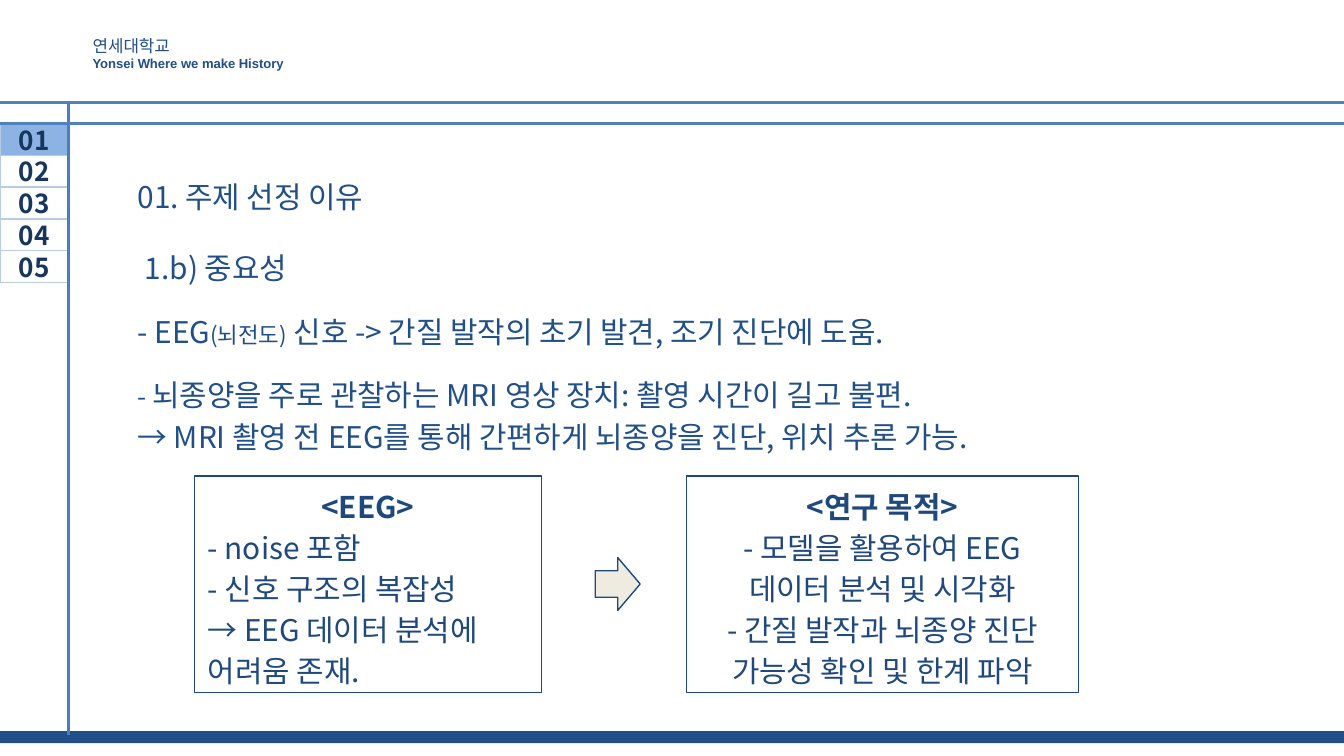
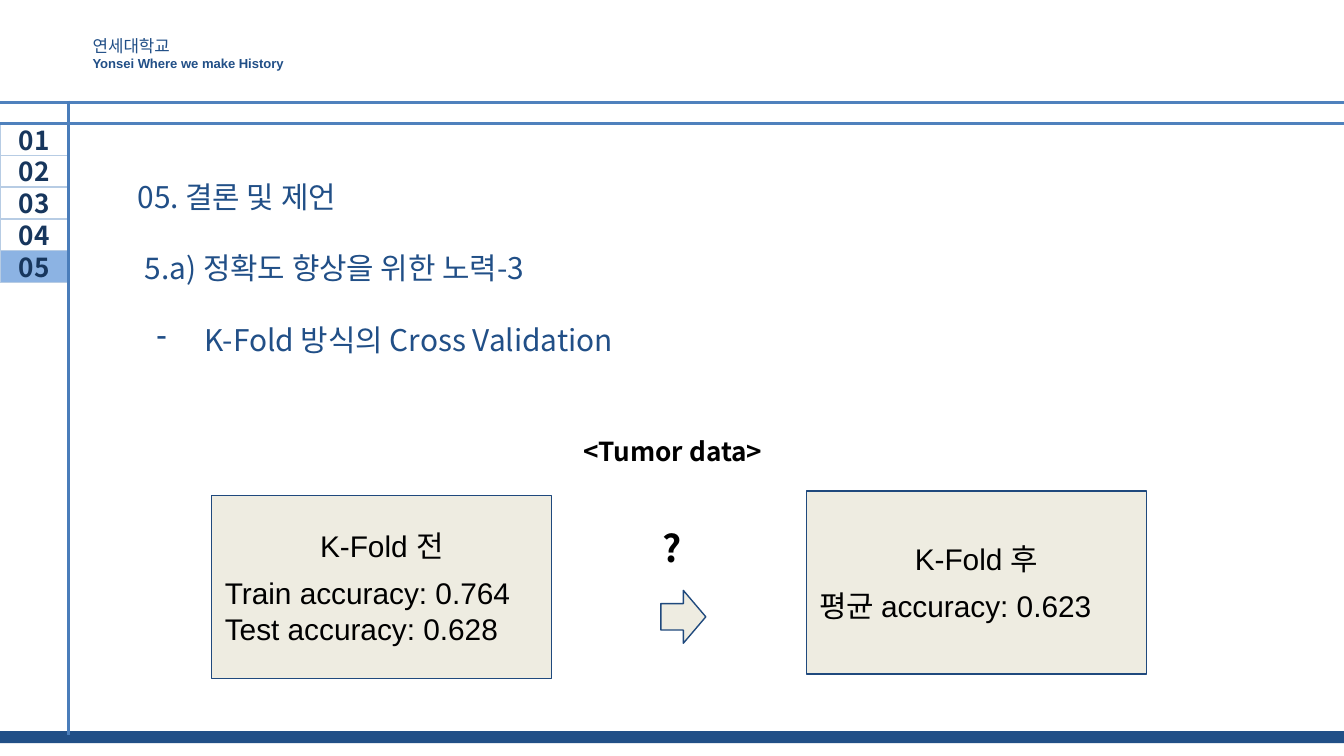
"""Build two slides of a study on EEG data with a shared frame."""
import pptx
import pptx.dml.color
import pptx.enum.shapes
import pptx.enum.text
import pptx.oxml.ns
import pptx.util
from lxml import etree

Cm = pptx.util.Cm
Pt = pptx.util.Pt
qn = pptx.oxml.ns.qn
KIND = pptx.enum.shapes.MSO_SHAPE
ALIGN = pptx.enum.text.PP_ALIGN
ANCHOR = pptx.enum.text.MSO_ANCHOR

HUES = {
    "navy": "214F87", "ink": "1F497D", "deep": "17365D", "line": "4F81BD",
    "spine": "4A7DBA", "edge": "B7CCE4", "lit": "8CB3E3", "sand": "EEECE1",
    "black": "000000",
}
NOTO = "Noto Sans CJK KR"
WIDTH, HEIGHT = 25.4, 14.29


def tint(name):
    return pptx.dml.color.RGBColor.from_string(HUES[name])


def say(frame, text, new=True, size=16, face=NOTO, hue="navy", bold=False,
        align=ALIGN.LEFT, lead=None, above=0, below=0, left=0, first=0, mark=None):
    para = frame.paragraphs[-1]
    if new:
        if para.runs:
            para = frame.add_paragraph()
        para.alignment = align
        para.space_before, para.space_after = Pt(above), Pt(below)
        if lead:
            para.line_spacing = lead
        props = para._p.get_or_add_pPr()
        props.set("marL", str(Cm(left)))
        props.set("indent", str(Cm(first)))
        if mark:
            shade = etree.SubElement(props, qn("a:buClr"))
            etree.SubElement(shade, qn("a:srgbClr"), val=HUES[hue])
            etree.SubElement(props, qn("a:buChar"), char=mark)
    for count, line in enumerate(text.split("\n")):
        if count:
            para.add_line_break()
        if not line:
            continue
        run = para.add_run()
        run.text = line
        font = run.font
        font.size, font.bold, font.name = Pt(size), bold, face
        font.color.rgb = tint(hue)
        etree.SubElement(run._r.get_or_add_rPr(), qn("a:ea"), typeface=NOTO)


class Deck:
    """Hold the shared style and the current slide."""

    def __init__(self):
        self.file = pptx.Presentation()
        self.file.slide_width, self.file.slide_height = Cm(WIDTH), Cm(HEIGHT)
        self.slide = None

    def frame(self, item, pad, anchor):
        frame = item.text_frame
        frame.word_wrap = True
        frame.vertical_anchor = anchor
        frame.margin_left = frame.margin_right = Cm(0.25)
        frame.margin_top = frame.margin_bottom = Cm(pad)
        return frame

    def label(self, x, y, w, h, pad=0.13):
        item = self.slide.shapes.add_textbox(Cm(x), Cm(y), Cm(w), Cm(h))
        return self.frame(item, pad, ANCHOR.TOP)

    def shape(self, x, y, w, h, kind=KIND.RECTANGLE, fill=None, edge=None,
              pad=0.13, anchor=ANCHOR.TOP):
        item = self.slide.shapes.add_shape(kind, Cm(x), Cm(y), Cm(w), Cm(h))
        item.shadow.inherit = False
        if fill:
            item.fill.solid()
            item.fill.fore_color.rgb = tint(fill)
        else:
            item.fill.background()
        if edge:
            item.line.color.rgb = tint(edge)
            item.line.width = Pt(0.75)
        else:
            item.line.fill.background()
        return self.frame(item, pad, anchor)

    def rule(self, x, y, to_x, to_y, hue="line"):
        item = self.slide.shapes.add_connector(
            pptx.enum.shapes.MSO_CONNECTOR.STRAIGHT, Cm(x), Cm(y), Cm(to_x), Cm(to_y))
        item.line.color.rgb = tint(hue)
        item.line.width = Pt(1.5)
        etree.SubElement(item._element.spPr, qn("a:effectLst"))

    def arrow(self, x, y):
        self.shape(x, y, 0.85, 1, KIND.RIGHT_ARROW, "sand", "ink")

    def card(self, x, y, title, *lines):
        frame = self.shape(x, y, 6.43, 3.46, fill="sand", edge="ink",
                           pad=0.25, anchor=ANCHOR.MIDDLE)
        say(frame, title, face="Arial", hue="black", align=ALIGN.CENTER)
        for count, line in enumerate(lines):
            say(frame, line, face="Arial", hue="black", above=0 if count else 6)

    def page(self, part, title, topic):
        self.slide = self.file.slides.add_slide(self.file.slide_layouts[6])
        self.shape(0, 13.82, WIDTH, 0.23, fill="navy")
        self.rule(0, 1.94, WIDTH, 1.94)
        head = self.label(1.5, 0.54, 5, 1)
        say(head, "연세대학교", size=9, face="Arial")
        say(head, "Yonsei Where we make History", size=7, face="Arial", bold=True)
        for step in range(5):
            tab = self.shape(0, 2.34 + 0.6 * step, 1.3, 0.6, edge="edge",
                             fill="lit" if step + 1 == part else None,
                             anchor=ANCHOR.MIDDLE)
            say(tab, f"{step + 1:02}", size=14, hue="deep", bold=True,
                align=ALIGN.CENTER)
        self.rule(1.3, 1.9, 1.3, 13.89, "spine")
        self.rule(0, 2.34, WIDTH, 2.34)
        body = self.label(2.35, 3.25, 22.4, 5.4)
        say(body, f"{part:02}. {title}")
        say(body, topic, above=19, left=0.14)
        return body


def motive(deck):
    body = deck.page(1, "주제 선정 이유", "1.b) 중요성")
    say(body, "- EEG", lead=1.15, above=12)
    say(body, "(뇌전도)", new=False, size=12)
    say(body, " 신호 -> 간질 발작의 초기 발견, 조기 진단에 도움.", new=False)
    say(body, "- ", size=14, lead=1.15, above=12, below=12)
    say(body, "뇌종양을 주로 관찰하는 MRI 영상 장치: 촬영 시간이 길고 불편.\n"
        "→ MRI 촬영 전 EEG를 통해 간편하게 뇌종양을 진단, 위치 추론 가능.", new=False)

    signal = deck.shape(3.68, 9, 6.55, 4.09, edge="ink")
    say(signal, "<EEG>", hue="ink", bold=True, align=ALIGN.CENTER, lead=1.15)
    for line in ("- noise 포함", "- 신호 구조의 복잡성",
                 "→ EEG 데이터 분석에 어려움 존재."):
        say(signal, line, hue="ink", lead=1.15)

    goal = deck.shape(12.97, 9, 7.42, 4.09, edge="ink")
    say(goal, "<연구 목적>\n", hue="ink", bold=True, align=ALIGN.CENTER,
        lead=1.15, below=12)
    say(goal, "- 모델을 활용하여 EEG 데이터 분석 및 시각화\n"
        "- 간질 발작과 뇌종양 진단 가능성 확인 및 한계 파악", new=False, hue="ink")
    deck.arrow(11.25, 10.54)


def result(deck):
    body = deck.page(5, "결론 및 제언", "5.a) 정확도 향상을 위한 노력-3")
    say(body, "K-Fold 방식의 Cross Validation", above=19, left=1.27,
        first=-0.91, mark="-")
    say(deck.label(10.77, 7.98, 4.7, 1.12, pad=0.25), "<Tumor data>",
        size=14, hue="black", bold=True)
    deck.arrow(12.49, 11.16)
    deck.card(4, 9.37, "K-Fold 전", "Train accuracy: 0.764", "Test accuracy: 0.628")
    deck.card(15.24, 9.28, "K-Fold 후", "평균 accuracy: 0.623")
    say(deck.label(12.27, 9.68, 1.3, 1.37, pad=0.25), "?",
        size=20, hue="black", bold=True)


def main():
    deck = Deck()
    motive(deck)
    result(deck)
    deck.file.save("out.pptx")


if __name__ == "__main__":
    main()
